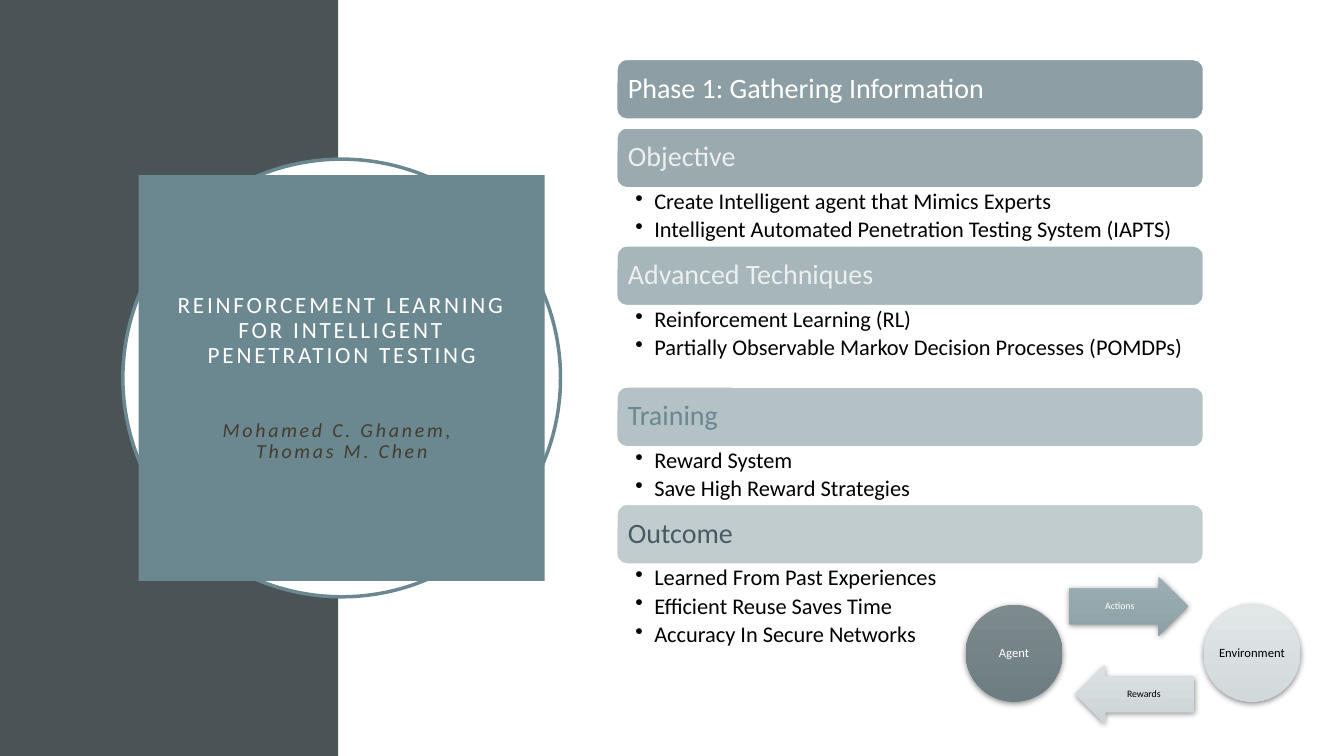
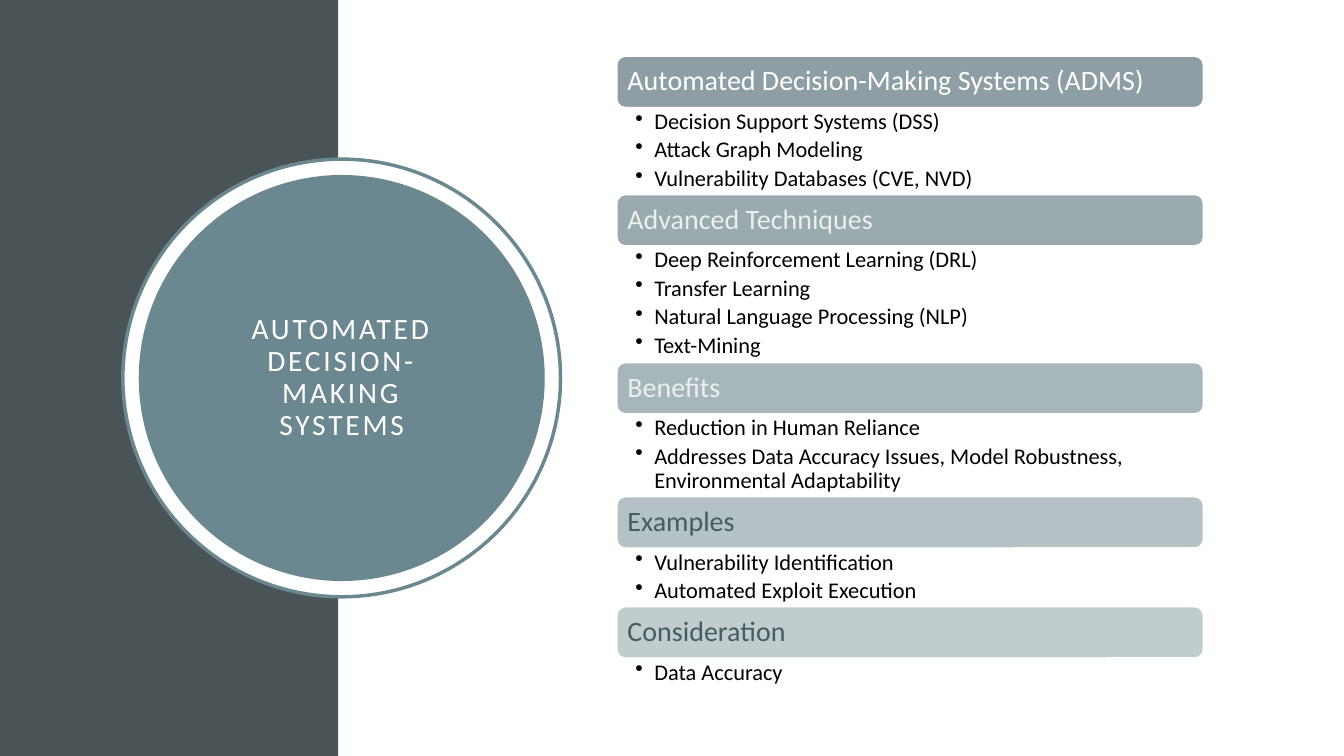
"""Build two slides on reinforcement learning for penetration testing."""
from lxml.etree import SubElement
from pptx import Presentation
from pptx.dml.color import RGBColor
from pptx.enum.shapes import MSO_SHAPE
from pptx.enum.text import MSO_ANCHOR, PP_ALIGN
from pptx.oxml.ns import qn
from pptx.util import Pt

FONT = "Calibri"
COLORS = {
    "band": "4A5356", "accent": "6B8891", "white": "FFFFFF", "black": "000000",
    "author": "443C2E", "pale": "EBEFF0", "deep": "475B61",
    "agent_top": "7D8A8E", "agent_end": "6D7D81",
    "actions_top": "9CAEB3", "actions_end": "8CA1A7",
    "env_top": "E2E7E8", "env_end": "D2D9DB",
    "rewards_top": "DBE1E3", "rewards_end": "CCD4D6",
}
BAR_FILLS = ["8D9FA4", "9AAAAF", "A7B6BA", "B4C1C5", "C1CCCF"]
BAR_LEFT, BAR_WIDTH = 440.6, 419
CENTER_X, CENTER_Y = 244.1, 270

PHASE_SECTIONS = [
    ("Phase 1: Gathering Information", "white", 6.4, []),
    ("Objective", "pale", 41.6, [
        "Create Intelligent agent that Mimics Experts",
        "Intelligent Automated Penetration Testing System (IAPTS)"]),
    ("Advanced Techniques", "pale", 58.2, [
        "Reinforcement Learning (RL)",
        "Partially Observable Markov Decision Processes (POMDPs)"]),
    ("Training", "accent", 41.2, [
        "Reward System", "Save High Reward Strategies"]),
    ("Outcome", "deep", 61.2, [
        "Learned From Past Experiences", "Efficient Reuse Saves Time",
        "Accuracy In Secure Networks"]),
]
ADMS_SECTIONS = [
    ("Automated Decision-Making Systems (ADMS)", "white", 62.2, [
        "Decision Support Systems (DSS)", "Attack Graph Modeling",
        "Vulnerability Databases (CVE, NVD)"]),
    ("Advanced Techniques", "pale", 83.4, [
        "Deep Reinforcement Learning (DRL)", "Transfer Learning",
        "Natural Language Processing (NLP)", "Text-Mining"]),
    ("Benefits", "pale", 59.2, [
        "Reduction in Human Reliance",
        "Addresses Data Accuracy Issues, Model Robustness, "
        "Environmental Adaptability"]),
    ("Examples", "deep", 42, [
        "Vulnerability Identification", "Automated Exploit Execution"]),
    ("Consideration", "deep", 26, ["Data Accuracy"]),
]
LOOP_PARTS = [
    ("Agent", MSO_SHAPE.OVAL, (689.8, 432, 69.1, 69.1), "agent", "white", 9),
    ("Actions", MSO_SHAPE.RIGHT_ARROW, (763.7, 411.8, 85, 42.5), "actions", "white", 7),
    ("Environment", MSO_SHAPE.OVAL, (859.7, 432, 69.1, 69.1), "env", "black", 9),
    ("Rewards", MSO_SHAPE.LEFT_ARROW, (768.2, 474.7, 85, 42.5), "rewards", "black", 7),
]


def rgb(name):
    """Return the colour for a palette name or a hex string."""
    return RGBColor.from_string(COLORS.get(name, name))


def set_frame(tf, insets, anchor=MSO_ANCHOR.MIDDLE, wrap=True):
    """Set the wrapping, anchor and four insets of a text frame."""
    tf.word_wrap, tf.vertical_anchor = wrap, anchor
    tf.margin_left, tf.margin_top, tf.margin_right, tf.margin_bottom = map(Pt, insets)


def add_text(tf, text, size, color, align=PP_ALIGN.LEFT, italic=False,
             spacing=0, before=0, after=0, bullet=False):
    """Add a formatted paragraph, filling the first one if it is empty."""
    p = tf.paragraphs[0]
    if p.runs:
        p = tf.add_paragraph()
    p.text, p.alignment, p.line_spacing = text, align, 0.9
    p.space_before, p.space_after = Pt(before), Pt(after)
    for r in p.runs:
        r.font.name, r.font.size, r.font.italic = FONT, Pt(size), italic
        r.font.color.rgb = rgb(color)
        if spacing:
            r.font._element.set("spc", str(spacing * 100))
    if bullet:
        pPr = p._p.get_or_add_pPr()
        pPr.set("marL", str(Pt(13.5)))
        pPr.set("indent", str(Pt(-13.5)))
        SubElement(pPr, qn("a:buChar")).set("char", "•")


def add_block(slide, kind, box, fill, line=None, width=1):
    """Add a flat preset shape with an optional outline."""
    sp = slide.shapes.add_shape(kind, *map(Pt, box))
    sp.shadow.inherit = False
    sp.fill.solid()
    sp.fill.fore_color.rgb = rgb(fill)
    if line:
        sp.line.color.rgb = rgb(line)
        sp.line.width = Pt(width)
    else:
        sp.line.fill.background()
    return sp


def centered(size):
    """Return the box of a square centred on the title emblem."""
    return CENTER_X - size / 2, CENTER_Y - size / 2, size, size


def add_emblem(slide, kind):
    """Add the side band, the ring and the title shape; return its text frame."""
    add_block(slide, MSO_SHAPE.RECTANGLE, (0, 0, 241.6, 540), "band")
    add_block(slide, MSO_SHAPE.OVAL, centered(312.6), "white", "accent", 2.5)
    tf = add_block(slide, kind, centered(290), "accent").text_frame
    set_frame(tf, [14.4] * 4)
    return tf


def add_sections(slide, sections, top, bar_height, bullet_insets):
    """Stack heading bars, each followed by its bullets."""
    for (heading, color, height, bullets), fill in zip(sections, BAR_FILLS):
        bar = add_block(slide, MSO_SHAPE.ROUNDED_RECTANGLE,
                        (BAR_LEFT, top, BAR_WIDTH, bar_height), fill, "white")
        set_frame(bar.text_frame, [5.8] * 4)
        add_text(bar.text_frame, heading, 20, color)
        top += bar_height
        if bullets:
            box = slide.shapes.add_textbox(*map(Pt, (BAR_LEFT, top, BAR_WIDTH, height)))
            set_frame(box.text_frame, bullet_insets, MSO_ANCHOR.TOP)
            for text in bullets:
                add_text(box.text_frame, text, 16, "black", after=3, bullet=True)
        top += height


def add_shadow(sp):
    """Give a shape a soft shadow below it."""
    effects = sp._element.spPr.find(qn("a:effectLst"))
    shadow = SubElement(effects, qn("a:outerShdw"), blurRad=str(Pt(4.4)),
                        dist=str(Pt(1.2)), dir="5400000", rotWithShape="0")
    color = SubElement(shadow, qn("a:srgbClr"), val=COLORS["black"])
    SubElement(color, qn("a:alpha"), val="45000")


def add_loop(slide):
    """Add the cycle of agent, actions, environment and rewards."""
    for label, kind, box, name, color, size in LOOP_PARTS:
        sp = add_block(slide, kind, box, name + "_top")
        sp.fill.gradient()
        sp.fill.gradient_angle = 270
        for stop, end in zip(sp.fill.gradient_stops, ("_top", "_end")):
            stop.color.rgb = rgb(name + end)
        if kind != MSO_SHAPE.OVAL:
            sp.adjustments[0] = 0.6
        add_shadow(sp)
        set_frame(sp.text_frame, [0] * 4, wrap=False)
        add_text(sp.text_frame, label, size, color, PP_ALIGN.CENTER)


def main():
    """Build and save the presentation."""
    prs = Presentation()
    prs.slide_width, prs.slide_height = Pt(960), Pt(540)
    blank = prs.slide_layouts[6]

    slide = prs.slides.add_slide(blank)
    tf = add_emblem(slide, MSO_SHAPE.RECTANGLE)
    add_text(tf, "REINFORCEMENT LEARNING FOR INTELLIGENT PENETRATION TESTING",
             16.6, "white", PP_ALIGN.CENTER, spacing=2)
    add_text(tf, "Mohamed C. Ghanem, \vThomas M. Chen", 14.2, "author",
             PP_ALIGN.CENTER, italic=True, spacing=2, before=37)
    add_sections(slide, PHASE_SECTIONS, 42.5, 42.6, (13.3, 1.8, 9, 1.8))
    add_loop(slide)

    slide = prs.slides.add_slide(blank)
    tf = add_emblem(slide, MSO_SHAPE.OVAL)
    add_text(tf, "AUTOMATED DECISION-MAKING SYSTEMS", 21, "white",
             PP_ALIGN.CENTER, spacing=2)
    add_sections(slide, ADMS_SECTIONS, 40.2, 36.6, (13.3, 2, 11.4, 2))

    prs.save("out.pptx")


if __name__ == "__main__":
    main()
